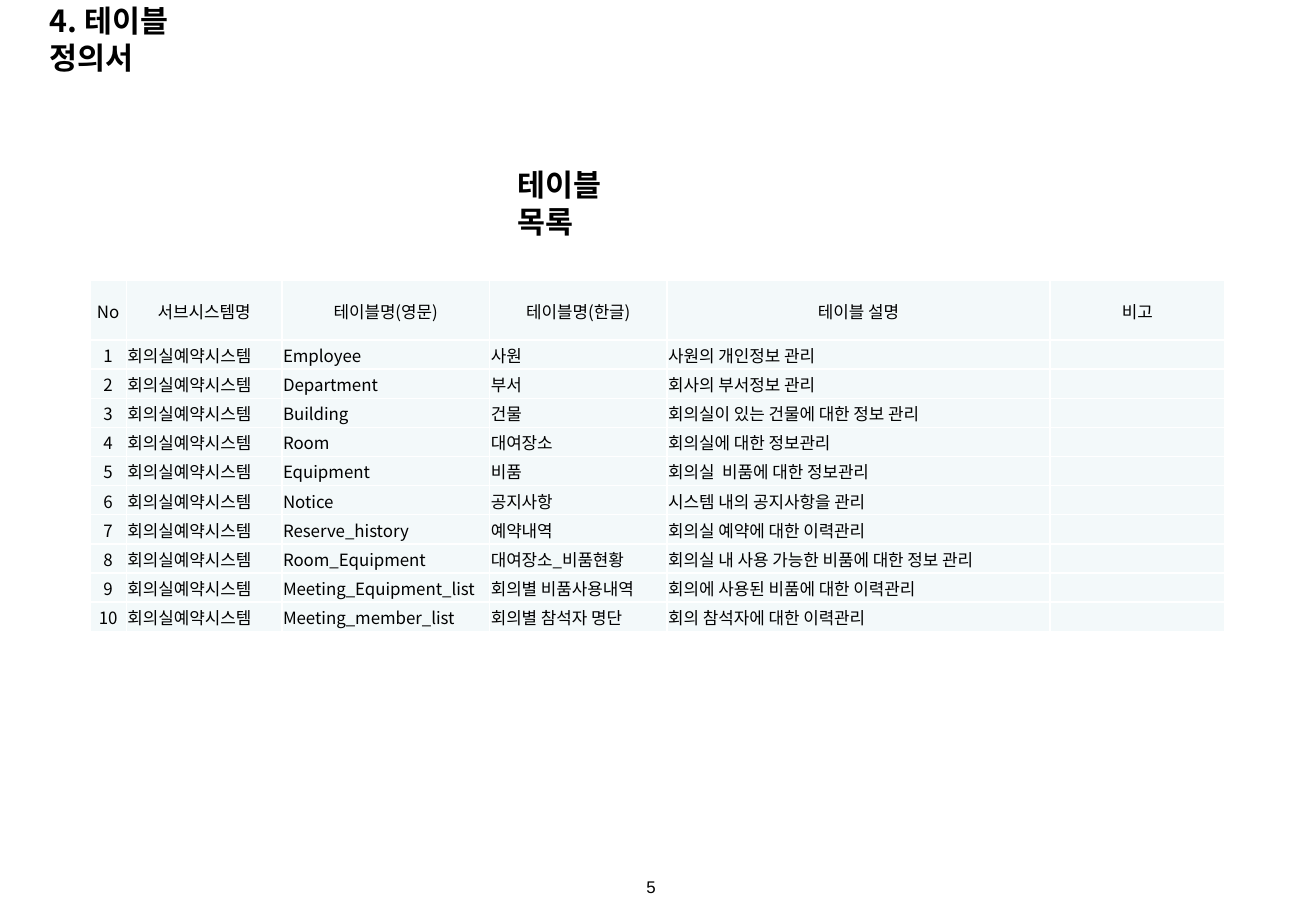
from lxml.etree import SubElement
from pptx import Presentation
from pptx.dml.color import RGBColor
from pptx.enum.text import MSO_ANCHOR as ANCHOR, MSO_AUTO_SIZE as AUTO, PP_ALIGN as ALIGN
from pptx.oxml import parse_xml
from pptx.oxml.ns import nsdecls, qn
from pptx.util import Inches, Pt

WIDTH, HEIGHT = Inches(10.83), Inches(7.5)
FONT = "Noto Sans CJK KR"
BLACK, WHITE, PALE = "000000", "FFFFFF", "F3F9FA"
COLUMNS = [2.77, 11.82, 15.79, 13.48, 29.09, 13.3]
HEADER_ROW, BODY_ROW = 6.53, 3.2
SYSTEM = "회의실예약시스템"
HEADER = ["No", "서브시스템명", "테이블명(영문)", "테이블명(한글)", "테이블 설명", "비고"]
ENTRIES = [
    ("Employee", "사원", "사원의 개인정보 관리"),
    ("Department", "부서", "회사의 부서정보 관리"),
    ("Building", "건물", "회의실이 있는 건물에 대한 정보 관리"),
    ("Room", "대여장소", "회의실에 대한 정보관리"),
    ("Equipment", "비품", "회의실  비품에 대한 정보관리"),
    ("Notice", "공지사항", "시스템 내의 공지사항을 관리"),
    ("Reserve_history", "예약내역", "회의실 예약에 대한 이력관리"),
    ("Room_Equipment", "대여장소_비품현황", "회의실 내 사용 가능한 비품에 대한 정보 관리"),
    ("Meeting_Equipment_list", "회의별 비품사용내역", "회의에 사용된 비품에 대한 이력관리"),
    ("Meeting_member_list", "회의별 참석자 명단", "회의 참석자에 대한 이력관리"),
]


def color(value):
    return RGBColor.from_string(value)


def across(share):
    return int(WIDTH * share / 100)


def down(share):
    return int(HEIGHT * share / 100)


def area(x, y, w, h):
    return across(x), down(y), across(w), down(h)


def write(tf, text, size, font=FONT, bold=False, align=ALIGN.LEFT):
    tf.text = text
    p = tf.paragraphs[0]
    p.alignment = align
    for r in p.runs:
        r.font.size, r.font.name, r.font.bold = Pt(size), font, bold
        r.font.color.rgb = color(BLACK)
        SubElement(r.font._element, qn("a:ea"), typeface=font)
    if not text:
        p._p.get_or_add_endParaRPr().set("sz", str(size * 100))


def heading(sp, box, text):
    sp.left, sp.top, sp.width, sp.height = area(*box)
    tf = sp.text_frame
    write(tf, text, 18, bold=True)
    tf.word_wrap, tf.auto_size = True, AUTO.NONE
    tf.vertical_anchor = ANCHOR.MIDDLE
    tf.margin_right = Inches(0.2)


def border(cell):
    for i, side in enumerate(("lnL", "lnR", "lnT", "lnB")):
        line = parse_xml(
            f'<a:{side} {nsdecls("a")} w="{Pt(1)}"><a:solidFill>'
            f'<a:srgbClr val="{WHITE}"/></a:solidFill></a:{side}>')
        cell._tc.get_or_add_tcPr().insert(i, line)


def fill_cell(cell, text, align):
    write(cell.text_frame, text, 10, align=align)
    cell.vertical_anchor = ANCHOR.MIDDLE
    cell.margin_left = cell.margin_right = cell.margin_top = Inches(0.01)
    cell.margin_bottom = 0
    cell.fill.solid()
    cell.fill.fore_color.rgb = color(PALE)
    border(cell)


def table_list(slide):
    rows = [HEADER] + [(str(n), SYSTEM, *entry, "") for n, entry in enumerate(ENTRIES, 1)]
    heights = [HEADER_ROW] + [BODY_ROW] * len(ENTRIES)
    box = area(6.83, 30.8, sum(COLUMNS), sum(heights))
    table = slide.shapes.add_table(len(rows), len(COLUMNS), *box).table
    table.first_row = table.horz_banding = False
    for column, share in zip(table.columns, COLUMNS):
        column.width = across(share)
    for i, (texts, share) in enumerate(zip(rows, heights)):
        table.rows[i].height = down(share)
        for j, text in enumerate(texts):
            centred = i == 0 or j == 0
            fill_cell(table.cell(i, j), text, ALIGN.CENTER if centred else ALIGN.LEFT)


def page_number(slide, text):
    tf = slide.shapes.add_textbox(*area(48.2, 95.6, 3.42, 3.6)).text_frame
    write(tf, text, 10, font="Arial")


def main():
    prs = Presentation()
    prs.slide_width, prs.slide_height = WIDTH, HEIGHT
    slide = prs.slides.add_slide(prs.slide_layouts[5])
    heading(slide.shapes.title, (2.86, 1.6, 17.73, 5.33), "4. 테이블 정의서")
    table_list(slide)
    box = (38.41, 19.6, 13.02, 5.33)
    heading(slide.shapes.add_textbox(*area(*box)), box, "테이블 목록")
    page_number(slide, "5")
    prs.save("out.pptx")


if __name__ == "__main__":
    main()
